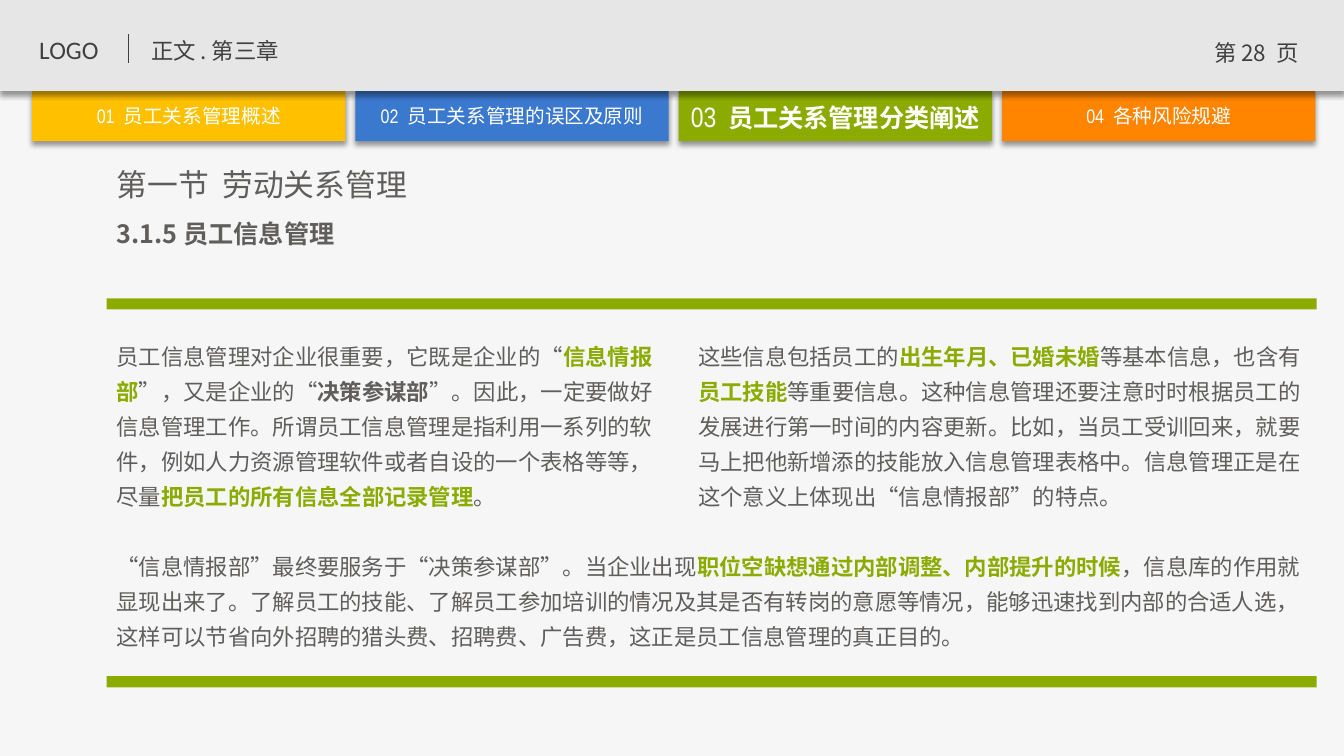
import pptx
import pptx.util
import pptx.dml.color
import pptx.enum.shapes
import pptx.enum.text
import pptx.oxml.ns
from lxml import etree
from pptx.util import Cm, Pt

SANS, NARROW = "Noto Sans CJK SC", "Arial Narrow"
GREEN, GREY, DARK, WHITE = "8BAB00", "5F5E5C", "404040", "FFFFFF"
LEFT, MIDDLE = 2.69, 17.35
CENTER = pptx.enum.text.PP_ALIGN.CENTER
colour = pptx.dml.color.RGBColor.from_string
qn = pptx.oxml.ns.qn

deck = pptx.Presentation()
deck.slide_width, deck.slide_height = Cm(33.88), Cm(19.05)
page = deck.slides.add_slide(deck.slide_layouts[6])
page.background.fill.solid()
page.background.fill.fore_color.rgb = colour("F6F6F6")


def add_bar(left, top, width, height, fill, shadow=False):
    bar = page.shapes.add_shape(pptx.enum.shapes.MSO_SHAPE.RECTANGLE,
                                Cm(left), Cm(top), Cm(width), Cm(height))
    bar.fill.solid()
    bar.fill.fore_color.rgb = colour(fill)
    bar.line.fill.background()
    bar.shadow.inherit = False
    if shadow:
        effects = bar._element.spPr.find(qn("a:effectLst"))
        outer = etree.SubElement(effects, qn("a:outerShdw"), blurRad=str(Pt(4)),
                                 dist=str(Pt(3)), dir="5400000", rotWithShape="0")
        black = etree.SubElement(outer, qn("a:srgbClr"), val="000000")
        etree.SubElement(black, qn("a:alpha"), val="40000")


def add_text(left, top, width, height, spans, size, ink=GREY, font=SANS, spacing=None):
    """Each span is (text, font settings that differ from the paragraph)."""
    box = page.shapes.add_textbox(Cm(left), Cm(top), Cm(width), Cm(height))
    box.text_frame.word_wrap = True
    para = box.text_frame.paragraphs[0]
    para.line_spacing = spacing
    para.font.size, para.font.name = Pt(size), font
    para.font.color.rgb = colour(ink)
    etree.SubElement(para.font._element, qn("a:ea"), typeface=SANS)
    for text, settings in spans:
        span = para.add_run()
        span.text = text
        for name, value in settings.items():
            if name == "ink":
                span.font.color.rgb = colour(value)
            else:
                setattr(span.font, name, value)
    return box


# Chapter tabs
tabs = [
    ("01", "员工关系管理概述", "FFC000"),
    ("02", "员工关系管理的误区及原则", "3B79CE"),
    ("03", "员工关系管理分类阐述", GREEN),
    ("04", "各种风险规避", "FF8500"),
]
for index, (number, title, fill) in enumerate(tabs):
    left = 0.81 + index * 8.15
    current = number == "03"
    add_bar(left, 2.29, 7.9, 1.27, fill, shadow=True)
    spans = [(number, {"name": NARROW, "size": Pt(20 if current else 14)}),
             ("  ", {"name": NARROW}),
             (title, {"bold": current})]
    label = add_text(left, 2.49, 7.9, 0.86, spans, 18 if current else 14, WHITE)
    frame = label.text_frame
    frame.margin_left = frame.margin_right = frame.margin_top = frame.margin_bottom = 0
    frame.vertical_anchor = pptx.enum.text.MSO_ANCHOR.MIDDLE
    frame.paragraphs[0].alignment = CENTER

# Page header
add_bar(0, 0, 33.88, 2.29, "E6E6E6", shadow=True)
add_text(0.74, 0.74, 2.49, 1.02, [("LOGO", {})], 18, DARK, "Calibri")
add_text(3.56, 0.81, 8.31, 0.94, [("正文 . 第三章", {})], 16, DARK)
page_number = add_text(30.15, 0.86, 3.05, 1.02, [("第 28  页", {})], 16, DARK)
page_number.text_frame.paragraphs[0].alignment = CENTER
divider = page.shapes.add_connector(pptx.enum.shapes.MSO_CONNECTOR.STRAIGHT,
                                    Cm(3.23), Cm(0.86), Cm(3.23), Cm(1.6))
divider.line.color.rgb = colour(DARK)
divider.line.width = Pt(0.75)
etree.SubElement(divider._element.spPr, qn("a:effectLst"))

# Headings
add_text(LEFT, 4.04, 13.82, 1.19, [("第一节  劳动关系管理", {})], 22)
add_text(LEFT, 5.16, 14.66, 1.24, [("3.1.5 员工信息管理", {"bold": True})], 18, spacing=1.3)

# Rules above and below the body
for top in (7.52, 17.04):
    add_bar(LEFT, top, 30.5, 0.28, GREEN)

# Body text
key = {"bold": True, "ink": GREEN}
importance = [
    ("员工信息管理对企业很重要，它既是企业的“", {}),
    ("信息情报部", key),
    ("”，又是企业的“", {}),
    ("决策参谋部", {"bold": True}),
    ("”。因此，一定要做好信息管理工作。所谓员工信息管理是指利用一系列的软件，"
     "例如人力资源管理软件或者自设的一个表格等等，尽量", {}),
    ("把员工的所有信息全部记录管理", key),
    ("。", {}),
]
contents = [
    ("这些信息包括员工的", {}),
    ("出生年月、已婚未婚", key),
    ("等基本信息，也含有", {}),
    ("员工技能", key),
    ("等重要信息。这种信息管理还要注意时时根据员工的发展进行第一时间的内容更新。"
     "比如，当员工受训回来，就要马上把他新增添的技能放入信息管理表格中。"
     "信息管理正是在这个意义上体现出“信息情报部”的特点。", {}),
]
purpose = [
    ("“信息情报部”最终要服务于“决策参谋部”。当企业出现", {}),
    ("职位空缺想通过内部调整、内部提升的时候", key),
    ("，信息库的作用就显现出来了。了解员工的技能、了解员工参加培训的情况及其是否有"
     "转岗的意愿等情况，能够迅速找到内部的合适人选，这样可以节省向外招聘的猎头费、"
     "招聘费、广告费，这正是员工信息管理的真正目的。", {}),
]
for left, top, width, height, spans in [
    (LEFT, 8.33, 14.25, 4.7, importance),
    (MIDDLE, 8.33, 15.85, 4.7, contents),
    (LEFT, 13.61, 30.5, 2.92, purpose),
]:
    add_text(left, top, width, height, spans, 16, spacing=1.3)

deck.save("out.pptx")
